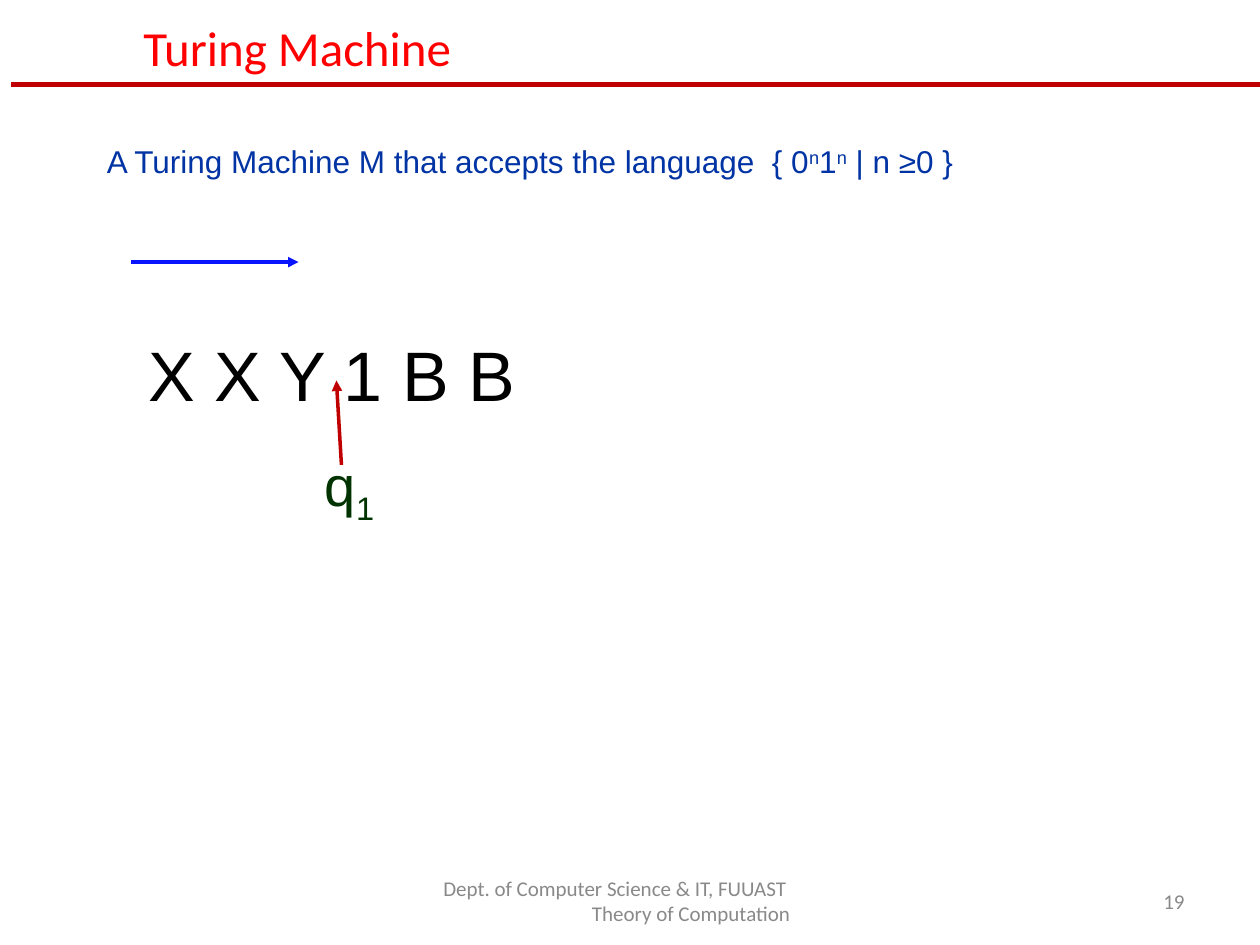
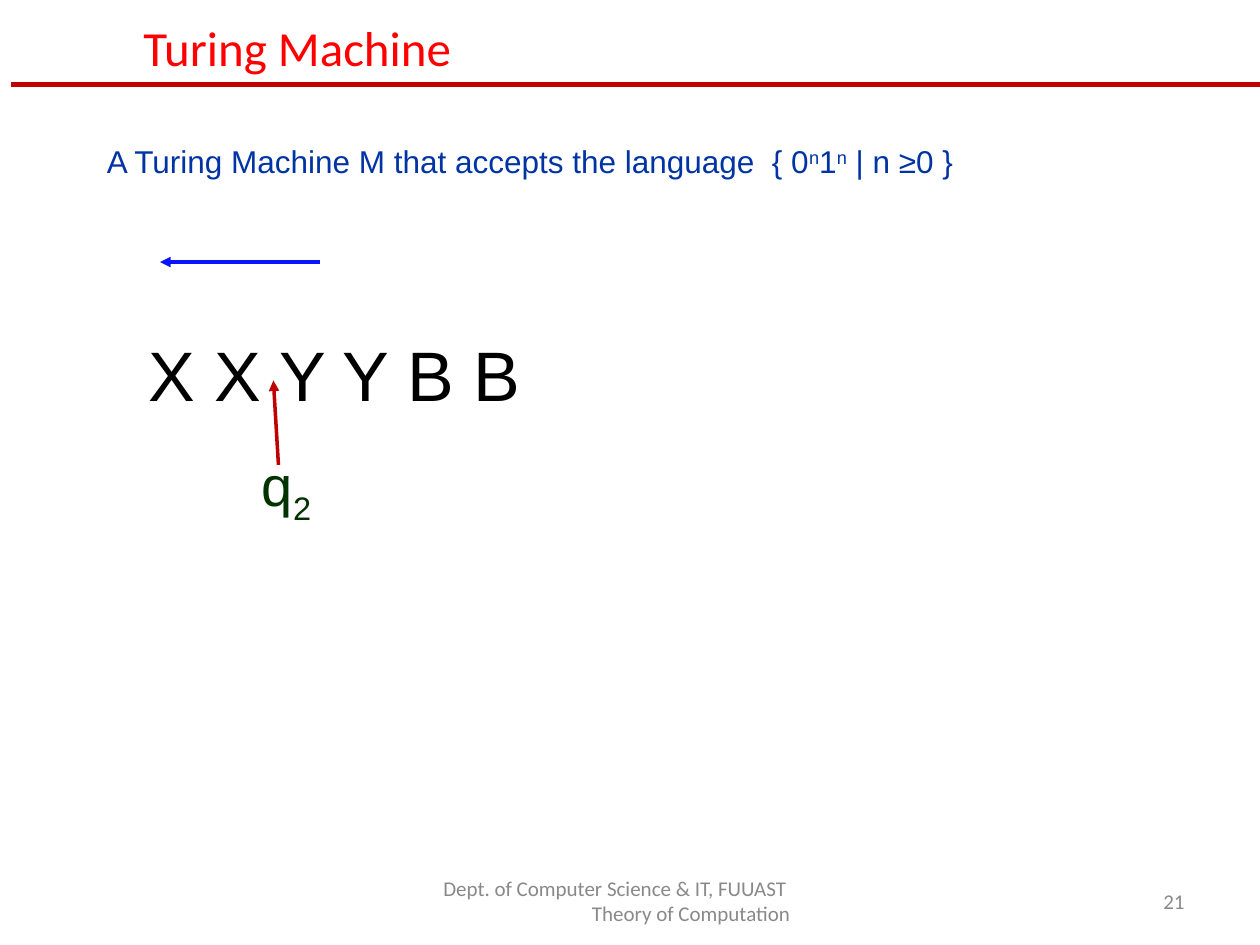
from lxml import etree
from pptx import Presentation
from pptx.dml.color import RGBColor
from pptx.enum import shapes, text
from pptx.oxml import ns
from pptx.util import Inches, Pt

RED = RGBColor(0xFF, 0x00, 0x00)
CRIMSON = RGBColor(0xC0, 0x00, 0x00)
BLUE = RGBColor(0x08, 0x14, 0xFE)
NAVY = RGBColor(0x00, 0x33, 0xA4)
GREEN = RGBColor(0x00, 0x33, 0x00)
BLACK = RGBColor(0x00, 0x00, 0x00)
GREY = RGBColor(0x89, 0x89, 0x89)

LEFT, RIGHT = text.PP_ALIGN.LEFT, text.PP_ALIGN.RIGHT
TOP, MIDDLE = text.MSO_ANCHOR.TOP, text.MSO_ANCHOR.MIDDLE
SUPER, SUB = 30, -25


def write(slide, box, lines, size, color, font="Arial", wrap=True,
          anchor=TOP, align=LEFT):
    """Add a text box whose lines are lists of (words, baseline) runs."""
    frame = slide.shapes.add_textbox(*map(Inches, box)).text_frame
    frame.word_wrap = wrap
    frame.vertical_anchor = anchor
    for i, runs in enumerate(lines):
        para = frame.add_paragraph() if i else frame.paragraphs[0]
        para.alignment = align
        for words, shift in runs:
            run = para.add_run()
            run.text = words
            run.font.size = Pt(size)
            run.font.name = font
            run.font.color.rgb = color
            if shift:
                run._r.get_or_add_rPr().set("baseline", str(shift * 1000))
    return frame


def draw(slide, start, end, color, width, arrow=True):
    """Add a straight line, with an arrowhead at its end if wanted."""
    line = slide.shapes.add_connector(
        shapes.MSO_CONNECTOR.STRAIGHT, *map(Inches, start + end))
    line.line.color.rgb = color
    line.line.width = Pt(width)
    if arrow:
        ln = line.line._get_or_add_ln()
        etree.SubElement(ln, ns.qn("a:tailEnd"), type="triangle")
    etree.SubElement(line._element.spPr, ns.qn("a:effectLst"))


def header(slide, x, y):
    """Place the slide title and the rule below it."""
    write(slide, (x, y, 6.87, 0.41), [[("Turing Machine", 0)]], 28, RED,
          "Calibri", anchor=MIDDLE)
    draw(slide, (0.09, y + 0.5), (10, y + 0.5), CRIMSON, 3.25, arrow=False)


def footer(slide, x, y, number):
    """Place the department, the course and the slide number."""
    style = dict(size=12, color=GREY, font="Calibri", anchor=MIDDLE)
    frame = write(slide, (x, y, 3.17, 0.4),
                  [[("Dept. of Computer Science & IT, FUUAST", 0)],
                   [("Theory of Computation", 0)]], **style)
    course = frame.paragraphs[1]._p.get_or_add_pPr()
    course.set("marL", str(Inches(1.18)))
    write(slide, (x + 3.75, y, 2.33, 0.4), [[(str(number), 0)]],
          align=RIGHT, **style)


def claim(slide, x, y):
    """Place the sentence that names the accepted language."""
    runs = [("A Turing Machine M that accepts the language  { 0", 0),
            ("n", SUPER), ("1", 0), ("n", SUPER), (" | n ≥0 }", 0)]
    write(slide, (x, y, 8.75, 0.4), [runs], 18, NAVY)


def head(slide, x, y, state):
    """Place the state label and the arrow from it up to the tape."""
    write(slide, (x, y, 0.59, 0.71), [[("q", 0), (state, SUB)]], 32, GREEN,
          wrap=False)
    draw(slide, (x + 0.23, y + 0.16), (x + 0.19, y - 0.51), CRIMSON, 2)


def step(deck, number, tape, width, state, spot, move):
    """Build one slide that shows a step of the machine."""
    slide = deck.slides.add_slide(deck.slide_layouts[6])
    footer(slide, 3.42, 6.95, number)
    write(slide, (1.08, 2.58, width, 0.77), [[(tape, 0)]], 40, BLACK,
          wrap=False)
    head(slide, spot, 3.53, state)
    header(slide, 1.04, 0.17)
    start, end = move
    draw(slide, (start, 2.08), (end, 2.08), BLUE, 2)
    claim(slide, 0.75, 1.08)


def main():
    """Build and save the deck."""
    deck = Presentation()
    deck.slide_width, deck.slide_height = Inches(10), Inches(7.5)
    step(deck, 19, "X X Y 1 B B", 3.13, "1", 2.48, (1.04, 2.37))
    step(deck, 21, "X X Y Y B B", 3.19, "2", 1.98, (2.54, 1.27))
    deck.save("out.pptx")


if __name__ == "__main__":
    main()
